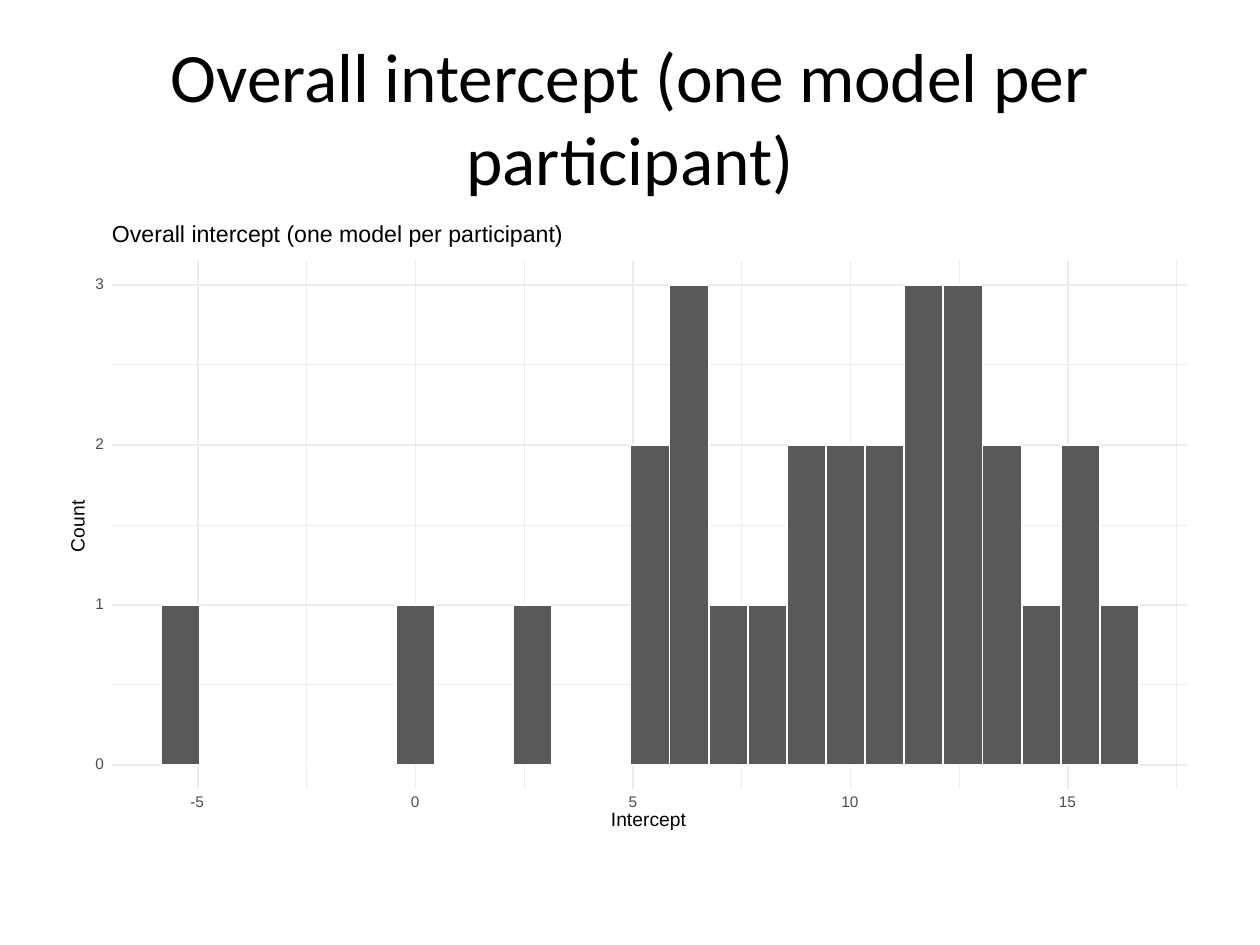
from pptx import Presentation
from pptx.dml.color import RGBColor
from pptx.enum.shapes import MSO_CONNECTOR, MSO_SHAPE
from pptx.enum.text import MSO_ANCHOR, MSO_AUTO_SIZE, PP_ALIGN
from pptx.oxml.ns import qn
from pptx.util import Emu, Pt

RECTANGLE = MSO_SHAPE.RECTANGLE
STRAIGHT = MSO_CONNECTOR.STRAIGHT
MIDDLE = MSO_ANCHOR.MIDDLE
NO_FIT = MSO_AUTO_SIZE.NONE
LEFT, CENTER = PP_ALIGN.LEFT, PP_ALIGN.CENTER

# Content
TITLE = "Overall intercept (one model per participant)"
X_LABEL, Y_LABEL = "Intercept", "Count"
BIN_COUNTS = [1, 0, 0, 0, 0, 0, 1, 0, 0, 1, 0, 0, 2, 3, 1, 1, 2, 2, 2, 3, 3, 2, 1, 2, 1]
X_TICKS = [-5, 0, 5, 10, 15]
X_MINOR = [-2.5, 2.5, 7.5, 12.5, 17.5]
Y_TICKS = [0, 1, 2, 3]
Y_MINOR = [0.5, 1.5, 2.5]

# Geometry in px, 126 to the inch
PX = 914400 // 126
PANEL_LEFT, PANEL_TOP, PANEL_RIGHT, PANEL_BOTTOM = 112, 261, 1187, 789
BINS_LEFT, BINS_RIGHT = 161, 1139
BASELINE, COUNT_STEP = 765, 160
FIRST_TICK, LAST_TICK = 198, 1068

BLACK, WHITE, GRID, BAR, TICK = "000000", "FFFFFF", "EBEBEB", "595959", "4D4D4D"


def emu(px):
    return Emu(round(px * PX))


def color(code):
    return RGBColor.from_string(code)


def x_at(value):
    share = (value - X_TICKS[0]) / (X_TICKS[-1] - X_TICKS[0])
    return FIRST_TICK + share * (LAST_TICK - FIRST_TICK)


def y_at(count):
    return BASELINE - count * COUNT_STEP


def style_text(frame, font, size, code, align):
    para = frame.paragraphs[0]
    para.alignment = align
    for span in para.runs:
        span.font.name = font
        span.font.size = Pt(size)
        span.font.color.rgb = color(code)
    return para


def add_rectangle(slide, left, top, width, height, fill, line_width):
    box = slide.shapes.add_shape(RECTANGLE, emu(left), emu(top), emu(width), emu(height))
    box.shadow.inherit = False
    box.fill.solid()
    box.fill.fore_color.rgb = color(fill)
    box.line.color.rgb = color(WHITE)
    box.line.width = Pt(line_width)


def add_grid_line(slide, x1, y1, x2, y2, width):
    line = slide.shapes.add_connector(STRAIGHT, emu(x1), emu(y1), emu(x2), emu(y2))
    line.line.color.rgb = color(GRID)
    line.line.width = Pt(width)
    properties = line._element.spPr
    properties.append(properties.makeelement(qn("a:effectLst"), {}))


def add_label(slide, text, center_x, center_y, width, height, size, code=BLACK, rotation=0):
    box = slide.shapes.add_textbox(
        emu(center_x - width / 2), emu(center_y - height / 2), emu(width), emu(height))
    box.rotation = rotation
    frame = box.text_frame
    frame.margin_left = frame.margin_right = frame.margin_top = frame.margin_bottom = 0
    frame.word_wrap = False
    frame.vertical_anchor = MIDDLE
    frame.text = text
    style_text(frame, "Arial", size, code, LEFT).line_spacing = Pt(size)


def add_tick_label(slide, value, center_x, center_y):
    text = str(value)
    width = sum(6 if letter == "-" else 9 for letter in text)
    add_label(slide, text, center_x, center_y, width, 11, 8.8, TICK)


def add_title(slide):
    title = slide.shapes.title
    title.left, title.top, title.width, title.height = emu(63), emu(38), emu(1134), emu(157)
    frame = title.text_frame
    frame.text = TITLE
    frame.auto_size = NO_FIT
    frame.vertical_anchor = MIDDLE
    style_text(frame, "Calibri", 39.6, BLACK, CENTER)


def add_histogram(slide):
    add_rectangle(slide, 63, 220, 1134, 624, WHITE, 0.75)

    # Grid, minor lines below major ones
    for counts, values, width in ((Y_MINOR, X_MINOR, 0.53), (Y_TICKS, X_TICKS, 1.07)):
        for count in counts:
            add_grid_line(slide, PANEL_LEFT, y_at(count), PANEL_RIGHT, y_at(count), width)
        for value in values:
            add_grid_line(slide, x_at(value), PANEL_BOTTOM, x_at(value), PANEL_TOP, width)

    # Bars; empty bins leave a white edge on the baseline
    bin_width = (BINS_RIGHT - BINS_LEFT) / len(BIN_COUNTS)
    for index, count in enumerate(BIN_COUNTS):
        add_rectangle(slide, BINS_LEFT + index * bin_width, y_at(count),
                      bin_width, count * COUNT_STEP, BAR, 1.07)

    # Axis labels and chart heading, each box a little wider than its text
    for count in Y_TICKS:
        add_tick_label(slide, count, 100, y_at(count))
    for value in X_TICKS:
        add_tick_label(slide, value, x_at(value), 803)
    panel_middle_x = (PANEL_LEFT + PANEL_RIGHT) / 2
    panel_middle_y = (PANEL_TOP + PANEL_BOTTOM) / 2
    add_label(slide, X_LABEL, panel_middle_x, 821, 77, 18, 11)
    add_label(slide, Y_LABEL, 79, panel_middle_y, 54, 15, 11, rotation=270)
    heading_width = 455
    add_label(slide, TITLE, PANEL_LEFT + heading_width / 2, 236, heading_width, 21, 13.2)


def main():
    deck = Presentation()
    deck.slide_width, deck.slide_height = emu(1260), emu(945)
    slide = deck.slides.add_slide(deck.slide_layouts[5])
    add_title(slide)
    add_histogram(slide)
    deck.save("out.pptx")


if __name__ == "__main__":
    main()
